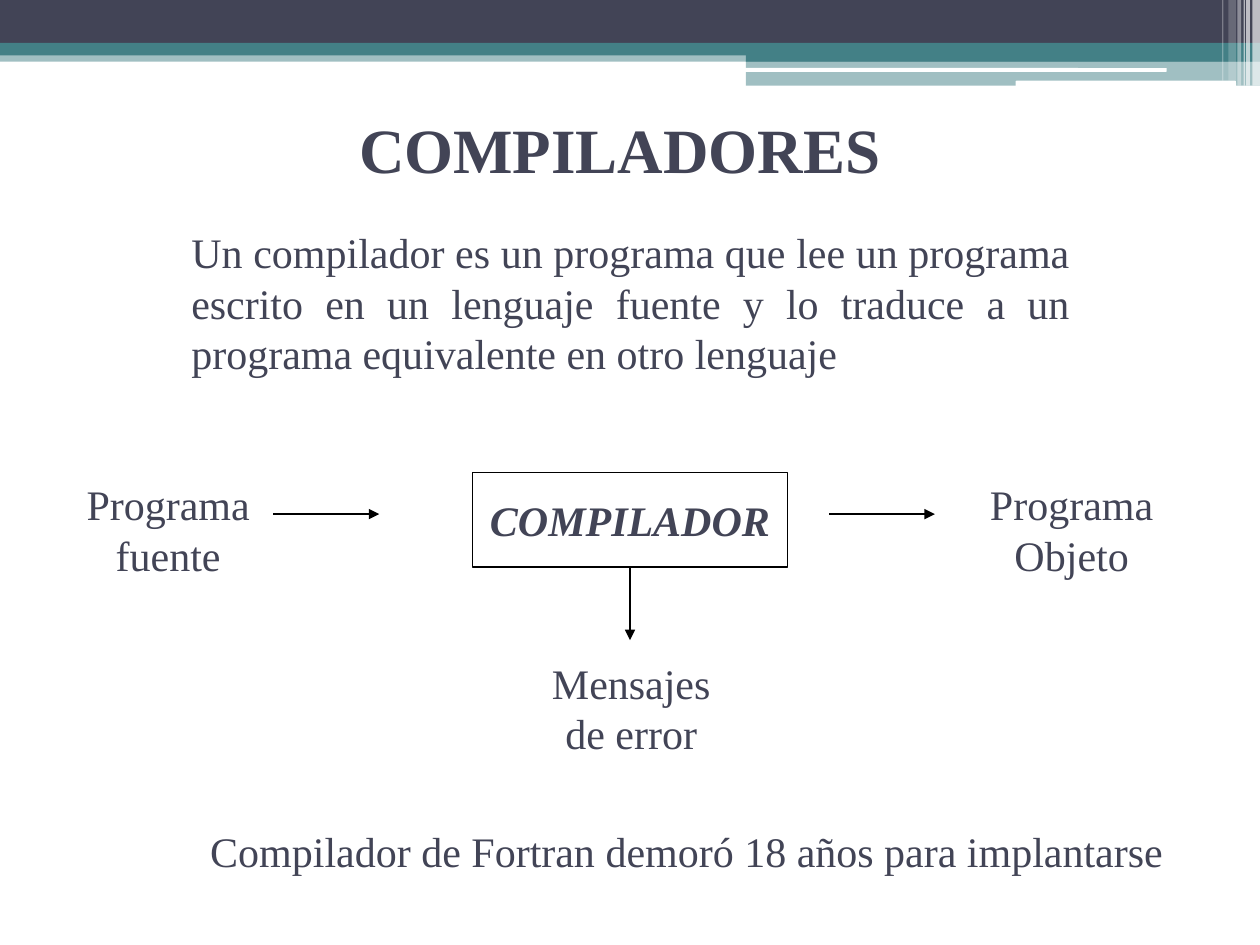
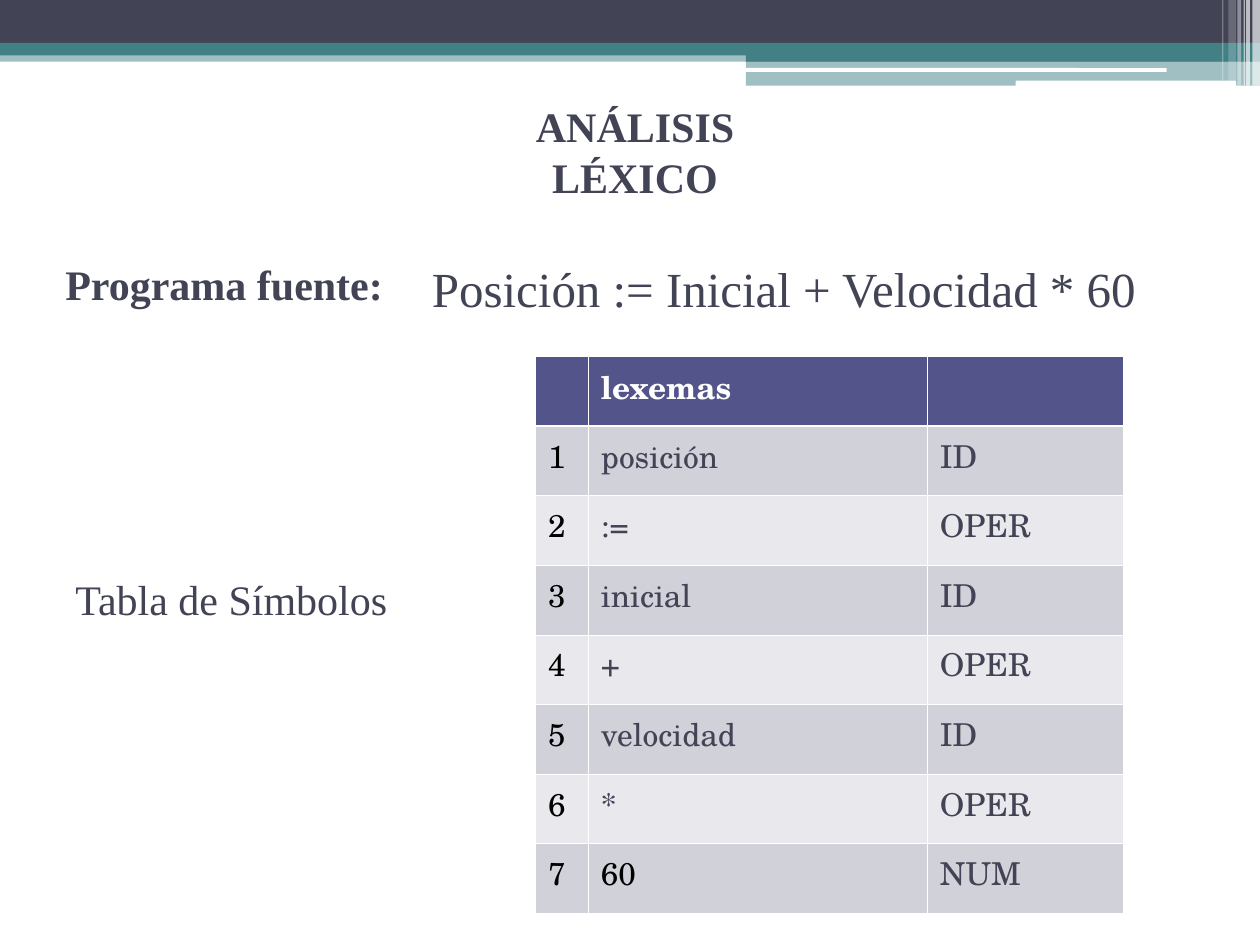
from lxml import etree
from pptx import Presentation
from pptx import util as u
from pptx.dml.color import RGBColor
from pptx.enum import shapes, text
from pptx.oxml import ns

PX = 9144
SERIF = "Times New Roman"
SCHOOL = "TeX Gyre Schola"
INK = RGBColor(0x42, 0x44, 0x56)
TEAL = RGBColor(0x43, 0x80, 0x86)
WHITE = RGBColor(0xFF, 0xFF, 0xFF)
BLACK = RGBColor(0x00, 0x00, 0x00)
HEADER = RGBColor(0x53, 0x54, 0x8A)
ROW_DARK = RGBColor(0xD1, 0xD1, 0xDA)
ROW_LIGHT = RGBColor(0xE9, 0xE9, 0xED)
LEFT, CENTER, JUSTIFY = text.PP_ALIGN.LEFT, text.PP_ALIGN.CENTER, text.PP_ALIGN.JUSTIFY
RECT, ROUND = shapes.MSO_SHAPE.RECTANGLE, shapes.MSO_SHAPE.ROUNDED_RECTANGLE

BANDS = [
    (RECT, 0, 40, 1000, 9, TEAL, 50),
    (RECT, 0, 0, 1000, 34, INK, 100),
    (RECT, 0, 34, 1000, 10, TEAL, 100),
    (RECT, 592, 39, 408, 10, TEAL, 100),
    (RECT, 592, 48, 408, 20, TEAL, 50),
    (ROUND, 591, 54, 335, 3, WHITE, 100),
    (ROUND, 806, 64, 175, 5, WHITE, 100),
]
STRIPES = [
    (994, 6, 68, 65),
    (989, 3, 68, 65),
    (987, 1, 68, 60),
    (982, 3, 68, 40),
    (975, 6, 64, 20),
    (970, 1, 64, 30),
]
LEXEMES = [
    ("", "lexemas", ""),
    ("1", "posición", "ID"),
    ("2", ":=", "OPER"),
    ("3", "inicial", "ID"),
    ("4", "+", "OPER"),
    ("5", "velocidad", "ID"),
    ("6", "*", "OPER"),
    ("7", "60", "NUM"),
]


def emu(*lengths):
    return [u.Emu(length * PX) for length in lengths]


def set_font(paragraph, size, color=INK, bold=False, italic=False, name=SERIF):
    font = paragraph.font
    font.name, font.size, font.bold, font.italic = name, u.Pt(size), bold, italic
    font.color.rgb = color


def write(shape, lines, size=24, align=CENTER, wrap=False, anchor=text.MSO_ANCHOR.TOP,
          bold=False, italic=False):
    frame = shape.text_frame
    frame.text = "\n".join(lines)
    frame.word_wrap = wrap
    frame.vertical_anchor = anchor
    for paragraph in frame.paragraphs:
        paragraph.alignment = align
        set_font(paragraph, size, bold=bold, italic=italic)


def add_label(slide, box, *lines, **style):
    shape = slide.shapes.add_textbox(*emu(*box))
    write(shape, lines, **style)
    shape.text_frame.auto_size = text.MSO_AUTO_SIZE.SHAPE_TO_FIT_TEXT


def place_title(slide, box, title, **style):
    shape = slide.shapes.title
    shape.left, shape.top, shape.width, shape.height = emu(*box)
    write(shape, [title], bold=True, **style)
    shape.text_frame.auto_size = text.MSO_AUTO_SIZE.NONE


def add_band(slide, preset, left, top, width, height, color, opacity):
    band = slide.shapes.add_shape(preset, *emu(left, top, width, height))
    band.shadow.inherit = False
    band.fill.solid()
    band.fill.fore_color.rgb = color
    band.line.fill.background()
    if opacity < 100:
        color_element = band.element.spPr.find(ns.qn("a:solidFill"))[0]
        etree.SubElement(color_element, ns.qn("a:alpha"), val=str(opacity * 1000))
    return band


def decorate_layout(layout, slide):
    for placeholder in list(layout.placeholders):
        if placeholder.placeholder_format.type != shapes.PP_PLACEHOLDER.TITLE:
            layout.shapes.element.remove(placeholder.element)
    stripes = [(RECT, left, 0, width, height, WHITE, opacity)
               for left, width, height, opacity in STRIPES]
    for band in BANDS + stripes:
        layout.shapes.element.append(add_band(slide, *band).element)


def add_arrow(slide, start, end, weight):
    arrow = slide.shapes.add_connector(shapes.MSO_CONNECTOR.STRAIGHT, *emu(*start, *end))
    arrow.line.color.rgb = BLACK
    arrow.line.width = u.Pt(weight)
    properties = arrow.element.spPr
    etree.SubElement(properties.find(ns.qn("a:ln")), ns.qn("a:tailEnd"), type="triangle")
    etree.SubElement(properties, ns.qn("a:effectLst"))


def add_compiler_flow(slide, left, top, width):
    center = left + 442
    arrow_y = top + 33
    label_width = 151
    add_label(slide, (left, top, label_width, 90), "Programa", "fuente")
    add_label(slide, (left + width - label_width, top, label_width, 90), "Programa", "Objeto")
    for arrow_left in (center - 283, center + 158):
        add_arrow(slide, (arrow_left, arrow_y), (arrow_left + 84, arrow_y), 1.5)
    compiler = slide.shapes.add_shape(RECT, *emu(center - 125, top, 250, 75))
    compiler.shadow.inherit = False
    compiler.fill.background()
    compiler.line.color.rgb = BLACK
    compiler.line.width = u.Pt(1)
    write(compiler, ["COMPILADOR"], anchor=text.MSO_ANCHOR.MIDDLE, bold=True, italic=True)
    add_arrow(slide, (center, top + 75), (center, top + 133), 1)
    add_label(slide, (center - 73, top + 142, 148, 90), "Mensajes", "de error")


def set_borders(cell, **weights):
    properties = cell._tc.get_or_add_tcPr()
    for side in "LRTB":
        width = u.Pt(weights.get(side, 0.45))
        line = etree.SubElement(properties, ns.qn("a:ln" + side), w=str(width))
        fill = etree.SubElement(line, ns.qn("a:solidFill"))
        etree.SubElement(fill, ns.qn("a:srgbClr"), val=str(WHITE))


def add_symbol_table(slide, box):
    table = slide.shapes.add_table(len(LEXEMES), 3, *emu(*box)).table
    for column, width in zip(table.columns, emu(42, 269, 156)):
        column.width = width
    for row, values in enumerate(LEXEMES):
        header = row == 0
        thick = {0: {"B": 1.47}, 1: {"T": 1.47}}.get(row, {})
        for column, value in enumerate(values):
            cell = table.cell(row, column)
            set_borders(cell, **thick)
            cell.fill.solid()
            cell.fill.fore_color.rgb = HEADER if header else ROW_DARK if row % 2 else ROW_LIGHT
            cell.text = value
            color = WHITE if header else BLACK if value.isdigit() else INK
            set_font(cell.text_frame.paragraphs[0], 18, color, bold=header, name=SCHOOL)


def build_compilers(slide):
    place_title(slide, (275, 83, 434, 70), "COMPILADORES", size=36, align=LEFT)
    add_label(slide, (142, 175, 717, 130),
              "Un compilador es un programa que lee un programa escrito en un lenguaje "
              "fuente y lo traduce a un programa equivalente en otro lenguaje",
              align=JUSTIFY, wrap=True)
    add_compiler_flow(slide, 58, 375, 868)
    add_label(slide, (157, 650, 776, 50),
              "Compilador de Fortran demoró 18 años para implantarse")


def build_lexical_analysis(slide):
    place_title(slide, (350, 75, 308, 90), "ANÁLISIS LÉXICO", wrap=True)
    add_label(slide, (333, 200, 633, 57), "Posición := Inicial + Velocidad * 60",
              size=28, align=JUSTIFY, wrap=True)
    add_label(slide, (42, 200, 308, 50), "Programa fuente:", align=JUSTIFY, wrap=True, bold=True)
    add_label(slide, (50, 450, 270, 50), "Tabla de Símbolos", align=LEFT)
    add_symbol_table(slide, (425, 283, 467, 442))


def main():
    presentation = Presentation()
    presentation.slide_width, presentation.slide_height = emu(1000, 750)
    layout = presentation.slide_layouts[5]
    compilers = presentation.slides.add_slide(layout)
    decorate_layout(layout, compilers)
    build_compilers(compilers)
    build_lexical_analysis(presentation.slides.add_slide(layout))
    presentation.save("out.pptx")


if __name__ == "__main__":
    main()
